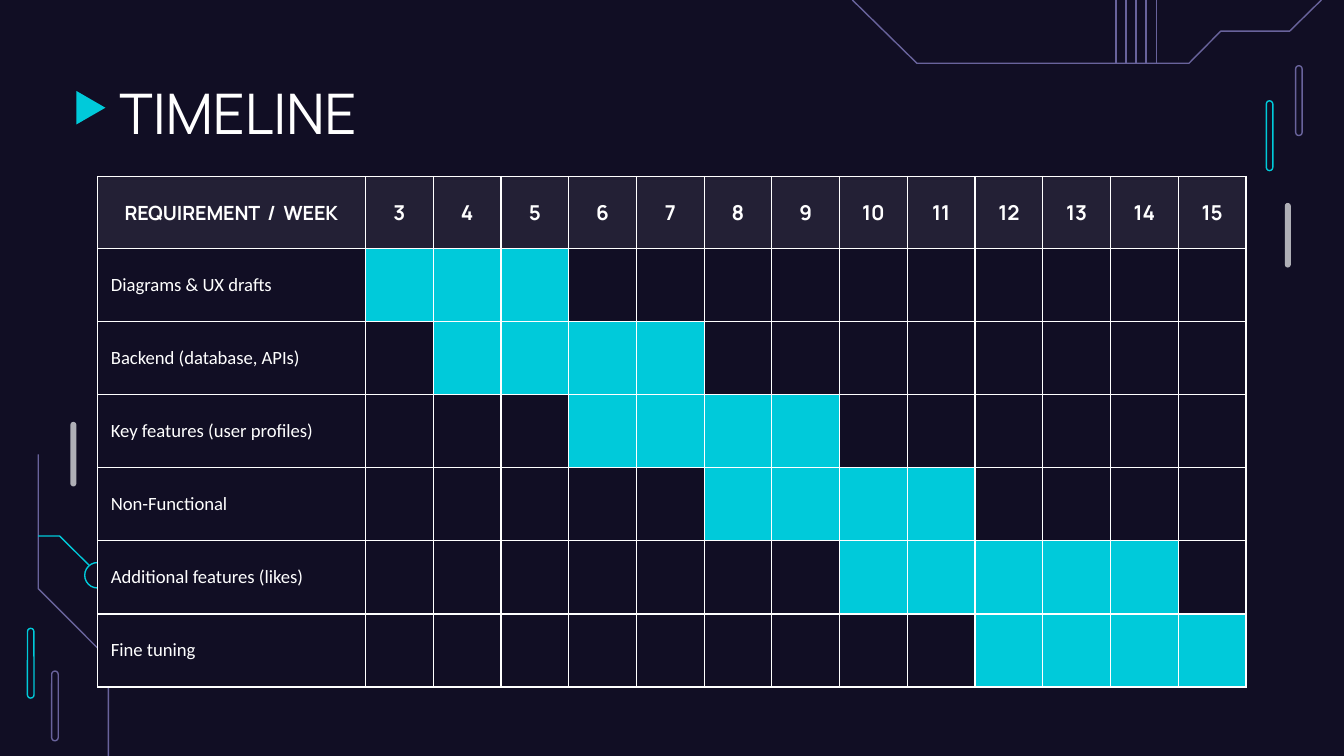
from lxml.etree import SubElement
from pptx import Presentation
from pptx.dml.color import RGBColor
from pptx.enum.shapes import MSO_CONNECTOR, MSO_SHAPE
from pptx.enum.text import MSO_ANCHOR, PP_ALIGN
from pptx.oxml import parse_xml
from pptx.oxml.ns import nsdecls, qn
from pptx.util import Pt

HUES = {"night": "110E24", "cyan": "00CADA", "violet": "69639C",
        "grey": "AFAFB6", "white": "FFFFFF"}
FONTS = {
    "title": {"size": Pt(30), "name": "Manrope", "bold": False},
    "label": {"size": Pt(10.5), "name": "Manrope", "bold": True},
    "week": {"size": Pt(11), "name": "Manrope", "bold": True},
    "task": {"size": Pt(10), "name": "Calibri", "bold": False},
}
WEEKS = range(3, 16)
TASKS = [
    ("Diagrams & UX drafts", 3, 5),
    ("Backend (database, APIs)", 4, 7),
    ("Key features (user profiles)", 6, 9),
    ("Non-Functional", 8, 11),
    ("Additional features (likes)", 10, 14),
    ("Fine tuning", 12, 15),
]


def hue(name):
    """Return the named colour."""
    return RGBColor.from_string(HUES[name])


def apply(item, vals):
    """Set each attribute in vals on item."""
    for key, val in vals.items():
        setattr(item, key, val)


def style(shape, fill=None, line=None):
    """Give a shape a flat fill and a thin outline, or neither."""
    shape.shadow.inherit = False
    if fill:
        shape.fill.solid()
        shape.fill.fore_color.rgb = hue(fill)
    else:
        shape.fill.background()
    if line:
        shape.line.color.rgb = hue(line)
        shape.line.width = Pt(0.75)
    else:
        shape.line.fill.background()


def add_form(slide, kind, box, fill=None, line=None):
    """Add a styled preset shape in the box."""
    shape = slide.shapes.add_shape(kind, *map(Pt, box))
    style(shape, fill, line)
    return shape


def add_pill(slide, box, fill=None, line=None):
    """Add a bar with fully round ends."""
    add_form(slide, MSO_SHAPE.ROUNDED_RECTANGLE, box, fill, line).adjustments[0] = 0.5


def add_trace(slide, box, dots, color):
    """Draw an open path through dots relative to the box."""
    spots = [(Pt(box[0] + x), Pt(box[1] + y)) for x, y in dots]
    form = slide.shapes.build_freeform(*spots[0], scale=1.0)
    form.add_line_segments(spots[1:], close=False)
    style(form.convert_to_shape(), line=color)


def add_right(slide, box):
    """Draw the circuit and pills in the top right corner."""
    left, top = box[:2]
    for step in range(5):
        x = Pt(left + 141.2 + step * 5.4)
        wire = slide.shapes.add_connector(MSO_CONNECTOR.STRAIGHT, x, Pt(top), x, Pt(top + 33.9))
        wire.line.color.rgb = hue("violet")
        wire.line.width = Pt(0.75)
        SubElement(wire._element.spPr, qn("a:effectLst"))
    add_trace(slide, box, [(0, 0), (34.6, 33.9), (180.4, 33.9), (197.4, 16.7),
                           (234.3, 16.7), (251.3, 0)], "violet")
    add_pill(slide, (left + 221.8, top + 54, 3.5, 37.4), line="cyan")
    add_pill(slide, (left + 237.5, top + 35.2, 3.5, 37.4), line="violet")
    add_pill(slide, (left + 231.7, top + 108.7, 3.2, 34.6), fill="grey")


def add_left(slide, box):
    """Draw the circuit and pills in the bottom left corner."""
    left, top = box[:2]
    add_trace(slide, box, [(5.8, 17.4), (5.8, 89.3), (43.4, 127), (43.4, box[3])], "violet")
    add_trace(slide, box, [(33, 76.8), (17.3, 61.2), (5.8, 61.2)], "cyan")
    add_form(slide, MSO_SHAPE.OVAL, (left + 30.7, top + 75.4, 13.6, 13.6), line="cyan")
    add_pill(slide, (left, top + 110.6, 3.5, 37.4), line="cyan")
    add_pill(slide, (left + 13, top + 133.5, 3.5, 37.4), line="violet")
    add_pill(slide, (left + 23, top, 3.2, 34.6), fill="grey")


def write(frame, text, kind, align):
    """Put one formatted line of text in a frame."""
    par = frame.paragraphs[0]
    par.alignment = align
    run = par.add_run()
    run.text = text
    apply(run.font, FONTS[kind])
    run.font.color.rgb = hue("white")


def add_title(slide, box):
    """Place the title and its arrow marker."""
    left, top, width, height = box
    mark = add_form(slide, MSO_SHAPE.FLOWCHART_MERGE, (left, top + 12.3, 18, 15.6), "cyan")
    mark.rotation = 270
    area = (left + 17.2, top, width - 17.2, height)
    frame = slide.shapes.add_textbox(*map(Pt, area)).text_frame
    apply(frame, {"word_wrap": True, "vertical_anchor": MSO_ANCHOR.MIDDLE,
                  "margin_left": Pt(7.2), "margin_right": Pt(7.2),
                  "margin_top": 0, "margin_bottom": 0})
    write(frame, "TIMELINE", "title", PP_ALIGN.LEFT)


def paint(cell, color, alpha=None):
    """Fill a cell and draw its four white borders."""
    cell.fill.solid()
    cell.fill.fore_color.rgb = hue(color)
    props = cell._tc.get_or_add_tcPr()
    if alpha:
        tint = props.find(".//" + qn("a:srgbClr"))
        SubElement(tint, qn("a:alpha"), val=str(alpha * 1000))
    for spot, side in enumerate("LRTB"):
        props.insert(spot, parse_xml(
            f'<a:ln{side} {nsdecls("a")} w="{Pt(0.75)}"><a:solidFill>'
            f'<a:srgbClr val="{HUES["white"]}"/></a:solidFill></a:ln{side}>'))


def fill_cell(cell, text, kind, align, pad):
    """Write centred-height text in a padded cell."""
    apply(cell, {"vertical_anchor": MSO_ANCHOR.MIDDLE, "margin_left": Pt(pad),
                 "margin_right": Pt(pad), "margin_top": Pt(pad), "margin_bottom": Pt(pad)})
    write(cell.text_frame, text, kind, align)


def add_chart(slide, box):
    """Build the week grid and shade the weeks of each task."""
    first, head = 143.6, 38.6
    count, total = len(TASKS) + 1, len(WEEKS) + 1
    grid = slide.shapes.add_table(count, total, *map(Pt, box)).table
    for num, col in enumerate(grid.columns):
        col.width = Pt((box[2] - first) / (total - 1) if num else first)
    for num, row in enumerate(grid.rows):
        row.height = Pt((box[3] - head) / (count - 1) if num else head)
    fill_cell(grid.cell(0, 0), "REQUIREMENT  /  WEEK", "label", PP_ALIGN.CENTER, 5)
    for num, week in enumerate(WEEKS, 1):
        fill_cell(grid.cell(0, num), str(week), "week", PP_ALIGN.CENTER, 0)
    for num in range(total):
        paint(grid.cell(0, num), "white", 8)
    for num, (name, start, end) in enumerate(TASKS, 1):
        fill_cell(grid.cell(num, 0), name, "task", PP_ALIGN.LEFT, 7.2)
        paint(grid.cell(num, 0), "night")
        for col, week in enumerate(WEEKS, 1):
            paint(grid.cell(num, col), "cyan" if start <= week <= end else "night")


def main():
    """Build and save the slide."""
    deck = Presentation()
    apply(deck, {"slide_width": Pt(720), "slide_height": Pt(405)})
    slide = deck.slides.add_slide(deck.slide_layouts[6])
    slide.background.fill.solid()
    slide.background.fill.fore_color.rgb = hue("night")
    add_right(slide, (456.6, 0, 251.3, 143.3))
    add_left(slide, (14.7, 226, 44.3, 179))
    add_title(slide, (39.7, 37.6, 624, 45.4))
    add_chart(slide, (52.2, 94.6, 615.3, 273.6))
    deck.save("out.pptx")


if __name__ == "__main__":
    main()
